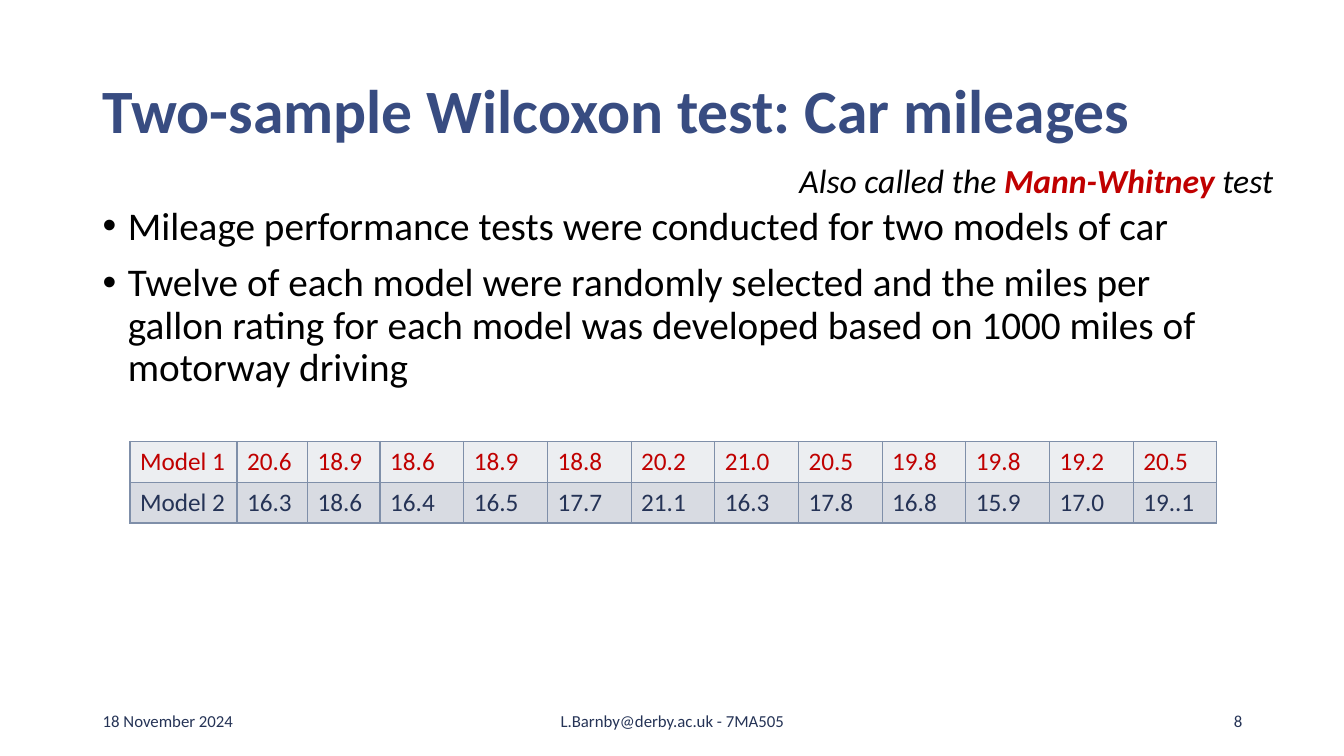
from pptx import Presentation
from pptx.dml.color import RGBColor
from pptx.enum.text import MSO_ANCHOR, PP_ALIGN
from pptx.oxml import parse_xml
from pptx.oxml.ns import nsdecls
from pptx.util import Inches, Pt

MIDDLE, TOP = MSO_ANCHOR.MIDDLE, MSO_ANCHOR.TOP
LEFT, CENTER, RIGHT = PP_ALIGN.LEFT, PP_ALIGN.CENTER, PP_ALIGN.RIGHT
COLORS = {
    "title": "384C81", "body": "000000", "footer": "253356", "accent": "C00000",
    "row1": "ECEEF1", "row2": "D8DBE2", "border": "7F8FA9",
}


def add_run(p, text, size, color, **formats):
    r = p.add_run()
    r.text = text
    r.font.color.rgb = RGBColor.from_string(COLORS[color])
    for name, value in {"name": "Calibri", "size": Pt(size), **formats}.items():
        setattr(r.font, name, value)


def add_box(left, top, width, height, anchor=TOP, wrap=True):
    tf = s.shapes.add_textbox(Inches(left), Inches(top), Inches(width), Inches(height)).text_frame
    tf.word_wrap = wrap
    tf.vertical_anchor = anchor
    return tf


prs = Presentation()
prs.slide_width, prs.slide_height = Inches(13.33), Inches(7.5)
s = prs.slides.add_slide(prs.slide_layouts[6])

p = add_box(0.92, 0.4, 11.5, 1.45, MIDDLE).paragraphs[0]
p.line_spacing = 0.9
add_run(p, "Two-sample Wilcoxon test: Car mileages", 44, "title", bold=True)

bullets = [
    "Mileage performance tests were conducted for two models of car",
    "Twelve of each model were randomly selected and the miles per gallon rating "
    "for each model was developed based on 1000 miles of motorway driving",
]
tf = add_box(0.92, 2, 11.5, 4.76)
for i, text in enumerate(bullets):
    p = tf.add_paragraph() if i else tf.paragraphs[0]
    pPr = p._p.get_or_add_pPr()
    pPr.set("marL", str(Inches(0.25)))
    pPr.set("indent", str(Inches(-0.25)))
    pPr.append(parse_xml(f'<a:buFont {nsdecls("a")} typeface="Arial"/>'))
    pPr.append(parse_xml(f'<a:buChar {nsdecls("a")} char="•"/>'))
    p.line_spacing = 0.9
    p.space_before = Pt(10 if i else 0)
    add_run(p, text, 28, "body")

footers = [
    (0.92, 3, LEFT, "18 November 2024"),
    (4.42, 4.5, CENTER, "L.Barnby@derby.ac.uk - 7MA505"),
    (9.42, 3, RIGHT, "8"),
]
for left, width, align, text in footers:
    p = add_box(left, 6.95, width, 0.4, MIDDLE).paragraphs[0]
    p.alignment = align
    add_run(p, text, 12, "footer")

p = add_box(7.83, 1.54, 4.91, 0.5, wrap=False).paragraphs[0]
add_run(p, "Also called the ", 24, "body", italic=True)
add_run(p, "Mann-Whitney", 24, "accent", italic=True, bold=True)
add_run(p, " test", 24, "body", italic=True)

mileages = [
    ("Model 1", "accent", "row1", "20.6 18.9 18.6 18.9 18.8 20.2 21.0 20.5 19.8 19.8 19.2 20.5"),
    ("Model 2", "footer", "row2", "16.3 18.6 16.4 16.5 17.7 21.1 16.3 17.8 16.8 15.9 17.0 19..1"),
]
widths = [1.06, 0.7, 0.72] + [0.83] * 10
table = s.shapes.add_table(
    len(mileages), len(widths), Inches(1.29), Inches(4.38), Inches(10.75), Inches(0.81)).table
for column, width in zip(table.columns, widths):
    column.width = Inches(width)
for row, (model, color, fill, values) in enumerate(mileages):
    table.rows[row].height = Inches(0.405)
    for col, text in enumerate([model] + values.split()):
        cell = table.cell(row, col)
        add_run(cell.text_frame.paragraphs[0], text, 18, color)
        tcPr = cell._tc.get_or_add_tcPr()
        for side in ("lnL", "lnR", "lnT", "lnB"):
            tcPr.append(parse_xml(
                f'<a:{side} {nsdecls("a")} w="{Pt(1)}"><a:solidFill>'
                f'<a:srgbClr val="{COLORS["border"]}"/></a:solidFill></a:{side}>'))
        cell.fill.solid()
        cell.fill.fore_color.rgb = RGBColor.from_string(COLORS[fill])

prs.save("out.pptx")
